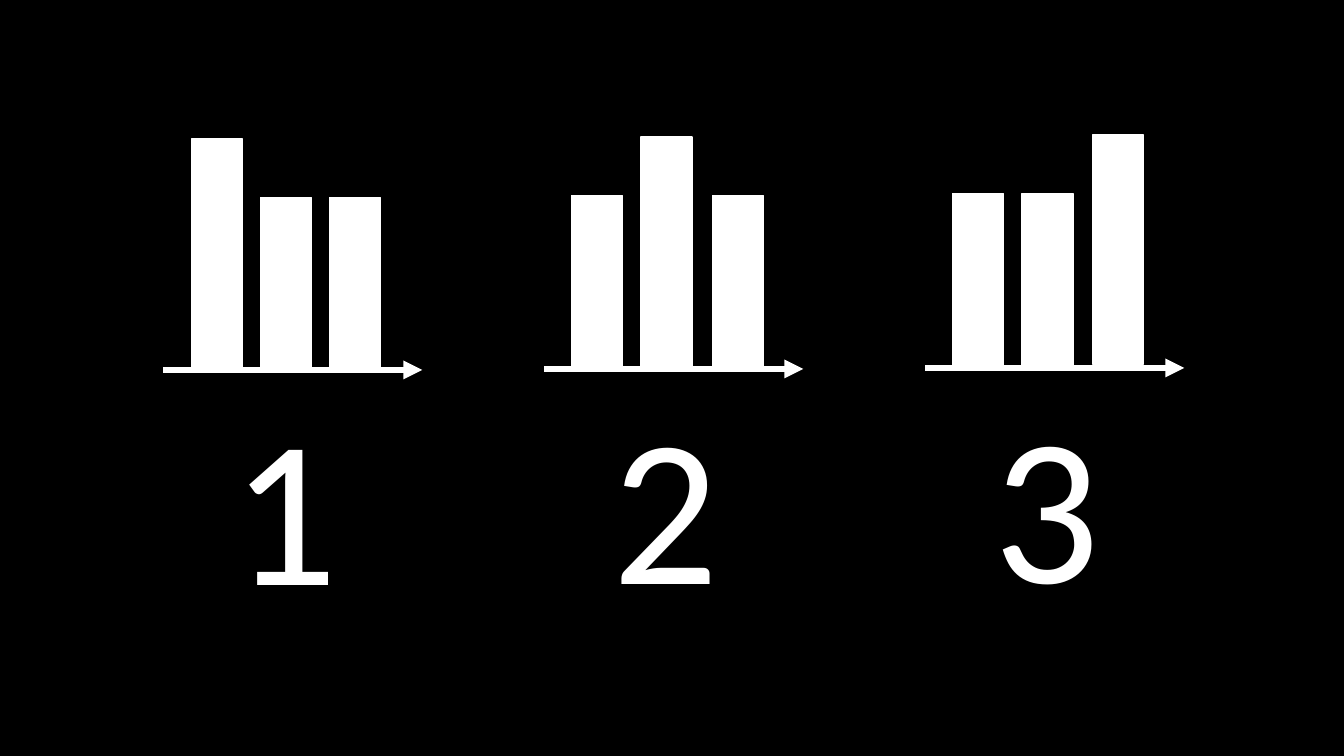
from dataclasses import dataclass

from lxml.etree import SubElement
from pptx import Presentation
from pptx.dml.color import RGBColor
from pptx.enum.shapes import MSO_CONNECTOR, MSO_SHAPE
from pptx.enum.text import MSO_AUTO_SIZE
from pptx.oxml.ns import qn
from pptx.shapes.group import GroupShape
from pptx.shapes.shapetree import GroupShapes
from pptx.util import Pt

COLORS = {"background": "000000", "foreground": "FFFFFF"}
FOREGROUND = RGBColor.from_string(COLORS["foreground"])
FONT_NAME = "Calibri"
CHART_LEFT, CHART_PITCH = 116.64, 272.16
AXIS_TOP, AXIS_RISE, AXIS_LENGTH = 264.24, 0.72, 185
BAR_WIDTH, BAR_RISE = 36.3, 1.44
TALL_TOP, TALL_HEIGHT = 99.36, 163.5
SHORT_TOP, SHORT_HEIGHT = 141.12, 122.4
LABEL_OFFSET, LABEL_WIDTH, LABEL_HEIGHT = 41.5, 91.44, 189.36


@dataclass(frozen=True)
class BarChart:
    label: str
    tall_bar: int
    bar_offsets: tuple[float, float, float]


BAR_CHARTS = [
    BarChart("1", 0, (20.16, 69.48, 118.8)),
    BarChart("2", 1, (19.44, 69.12, 120.24)),
    BarChart("3", 2, (19.44, 69.12, 119.52)),
]


def add_bar(shapes: GroupShapes, left: float, top: float, height: float) -> None:
    bar = shapes.add_shape(MSO_SHAPE.RECTANGLE, Pt(left), Pt(top), Pt(BAR_WIDTH), Pt(height))
    bar.shadow.inherit = False
    bar.fill.solid()
    bar.fill.fore_color.rgb = FOREGROUND
    bar.line.color.rgb = FOREGROUND
    bar.line.width = Pt(1)


def add_axis(shapes: GroupShapes, left: float, top: float) -> None:
    axis = shapes.add_connector(
        MSO_CONNECTOR.STRAIGHT, Pt(left), Pt(top), Pt(left + AXIS_LENGTH), Pt(top)
    )
    axis.line.color.rgb = FOREGROUND
    axis.line.width = Pt(4.5)
    SubElement(axis.line._get_or_add_ln(), qn("a:tailEnd"), type="triangle")
    SubElement(axis._element.spPr, qn("a:effectLst"))


def add_label(shapes: GroupShapes, text: str, left: float, top: float) -> None:
    label = shapes.add_textbox(Pt(left), Pt(top), Pt(LABEL_WIDTH), Pt(LABEL_HEIGHT))
    text_frame = label.text_frame
    text_frame.word_wrap = False
    text_frame.auto_size = MSO_AUTO_SIZE.SHAPE_TO_FIT_TEXT
    text_frame.text = text
    font = text_frame.paragraphs[0].runs[0].font
    font.name = FONT_NAME
    font.size = Pt(150)
    font.color.rgb = FOREGROUND


def draw_bar_chart(group: GroupShape, chart: BarChart, column: int) -> None:
    left = CHART_LEFT + column * CHART_PITCH
    axis_top = AXIS_TOP - column * AXIS_RISE
    add_axis(group.shapes, left, axis_top)
    for position, offset in enumerate(chart.bar_offsets):
        is_tall = position == chart.tall_bar
        top, height = (TALL_TOP, TALL_HEIGHT) if is_tall else (SHORT_TOP, SHORT_HEIGHT)
        add_bar(group.shapes, left + offset, top - column * BAR_RISE, height)
    add_label(group.shapes, chart.label, left + LABEL_OFFSET, axis_top + AXIS_RISE)


def main() -> None:
    """Build a slide of three numbered bar charts, each with a different tallest bar."""
    presentation = Presentation()
    presentation.slide_width = Pt(960)
    presentation.slide_height = Pt(540)
    slide = presentation.slides.add_slide(presentation.slide_layouts[6])
    slide.background.fill.solid()
    slide.background.fill.fore_color.rgb = RGBColor.from_string(COLORS["background"])
    for column, chart in enumerate(BAR_CHARTS):
        draw_bar_chart(slide.shapes.add_group_shape(), chart, column)
    presentation.save("out.pptx")


if __name__ == "__main__":
    main()
